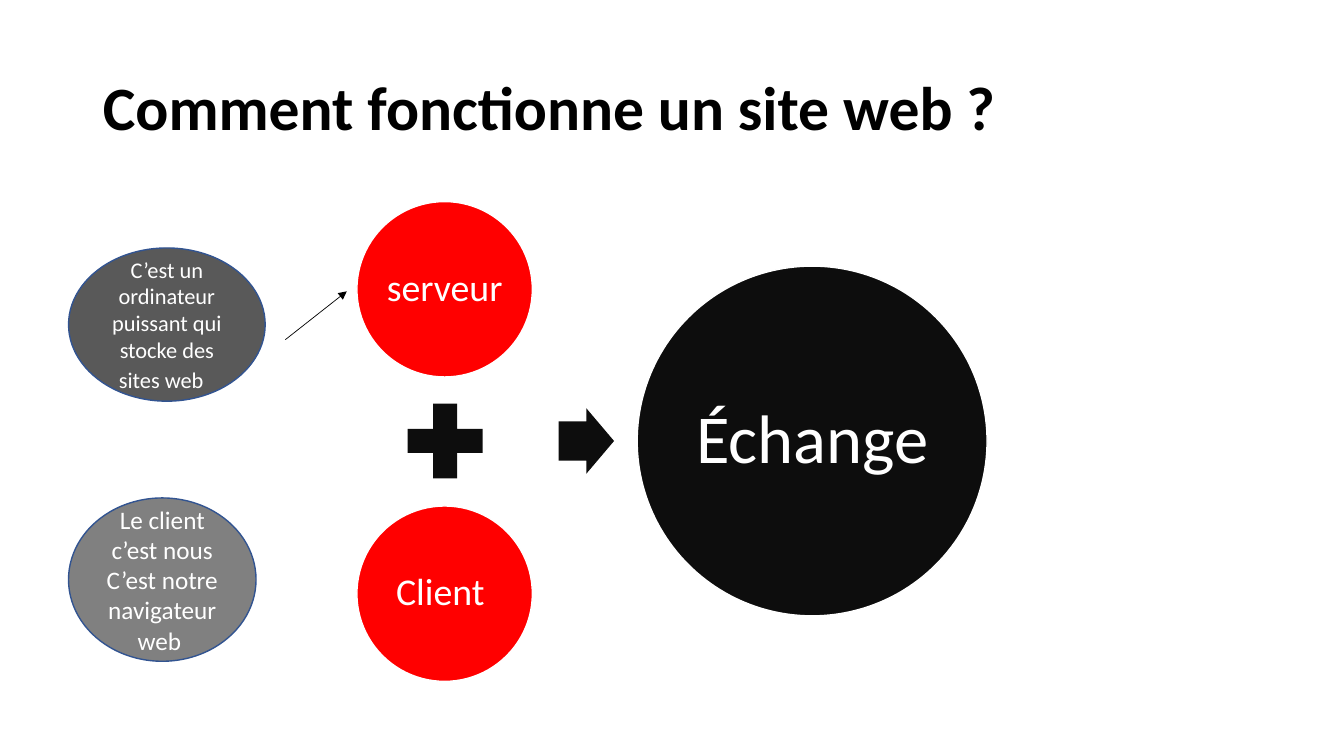
from pptx import Presentation
from pptx.dml.color import RGBColor
from pptx.enum.shapes import MSO_CONNECTOR as Conn, MSO_SHAPE as Geo
from pptx.enum.text import MSO_ANCHOR as Anchor, PP_ALIGN as Align
from pptx.oxml.ns import qn
from pptx.util import Inches, Pt
from lxml.etree import SubElement

theme = {
    "font": "Calibri", "title": 44, "small": 27, "large": 49, "note": 18, "fine": 16,
    "black": "000000", "white": "FFFFFF", "red": "FF0000", "ink": "0D0D0D",
    "dark": "595959", "gray": "808080", "edge": "325491",
}


def paint(shape, fill, edge=None):
    """Fill a shape and give it a one-point edge, or none."""
    shape.shadow.inherit = False
    shape.fill.solid()
    shape.fill.fore_color.rgb = RGBColor.from_string(theme[fill])
    if edge:
        shape.line.color.rgb = RGBColor.from_string(theme[edge])
        shape.line.width = Pt(1)
    else:
        shape.line.fill.background()


def style(frame, size, color="white", align=Align.CENTER, space=1.0):
    """Format all the text of a frame."""
    frame.word_wrap = True
    frame.vertical_anchor = Anchor.MIDDLE
    for par in frame.paragraphs:
        par.alignment = align
        par.line_spacing = space
        for run in par.runs:
            run.font.name = theme["font"]
            run.font.size = Pt(theme[size])
            run.font.color.rgb = RGBColor.from_string(theme[color])


deck = Presentation()
deck.slide_width, deck.slide_height = Inches(13.33), Inches(7.5)
slide = deck.slides.add_slide(deck.slide_layouts[5])
shapes = slide.shapes

title = shapes.title
title.left, title.top = Inches(0.92), Inches(0.37)
title.width, title.height = Inches(11.5), Inches(1.45)
title.text_frame.text = "Comment fonctionne un site web ?"
style(title.text_frame, "title", "black", Align.LEFT, 0.9)
title.text_frame.paragraphs[0].runs[0].font.bold = True

# Server plus client gives the exchange
discs = [
    ("serveur ", 3.54, 2, 1.74, "red", "small", 0.04),
    ("Client ", 3.54, 5.02, 1.74, "red", "small", 0.04),
    ("Échange ", 6.32, 2.64, 3.47, "ink", "large", 0.07),
]
for text, left, top, side, fill, size, inset in discs:
    disc = shapes.add_shape(Geo.OVAL, Inches(left), Inches(top), Inches(side), Inches(side))
    paint(disc, fill, "white")
    frame = disc.text_frame
    frame.text = text
    frame.margin_left = frame.margin_right = Inches(inset)
    frame.margin_top = frame.margin_bottom = Inches(inset)
    style(frame, size, space=0.9)

plus = shapes.add_shape(Geo.MATH_PLUS, Inches(3.91), Inches(3.87), Inches(1.01), Inches(1.01))
arrow = shapes.add_shape(Geo.RIGHT_ARROW, Inches(5.54), Inches(4.05), Inches(0.55), Inches(0.65))
arrow.adjustments[0] = 0.6
for sign in (plus, arrow):
    paint(sign, "ink")

# Explanations on the left
notes = [
    ("Le client c’est nous\nC’est notre navigateur web ", 4.94, 1.86, 1.62, "gray", "note"),
    ("C’est un ordinateur puissant qui stocke des sites web", 2.46, 1.95, 1.52, "dark", "fine"),
]
for text, top, width, height, fill, size in notes:
    note = shapes.add_shape(Geo.OVAL, Inches(0.68), Inches(top), Inches(width), Inches(height))
    paint(note, fill, "edge")
    note.text_frame.text = text
    style(note.text_frame, size)

# The server note ends in larger type
tail = note.text_frame.paragraphs[0].add_run()
tail.text = "  "
tail.font.name = theme["font"]
tail.font.size = Pt(theme["note"])

link = shapes.add_connector(Conn.STRAIGHT, Inches(2.83), Inches(3.37), Inches(3.44), Inches(2.89))
link.line.color.rgb = RGBColor.from_string(theme["black"])
link.line.width = Pt(0.5)
SubElement(link.line._get_or_add_ln(), qn("a:tailEnd"), type="triangle")
SubElement(link._element.spPr, qn("a:effectLst"))

deck.save("out.pptx")
